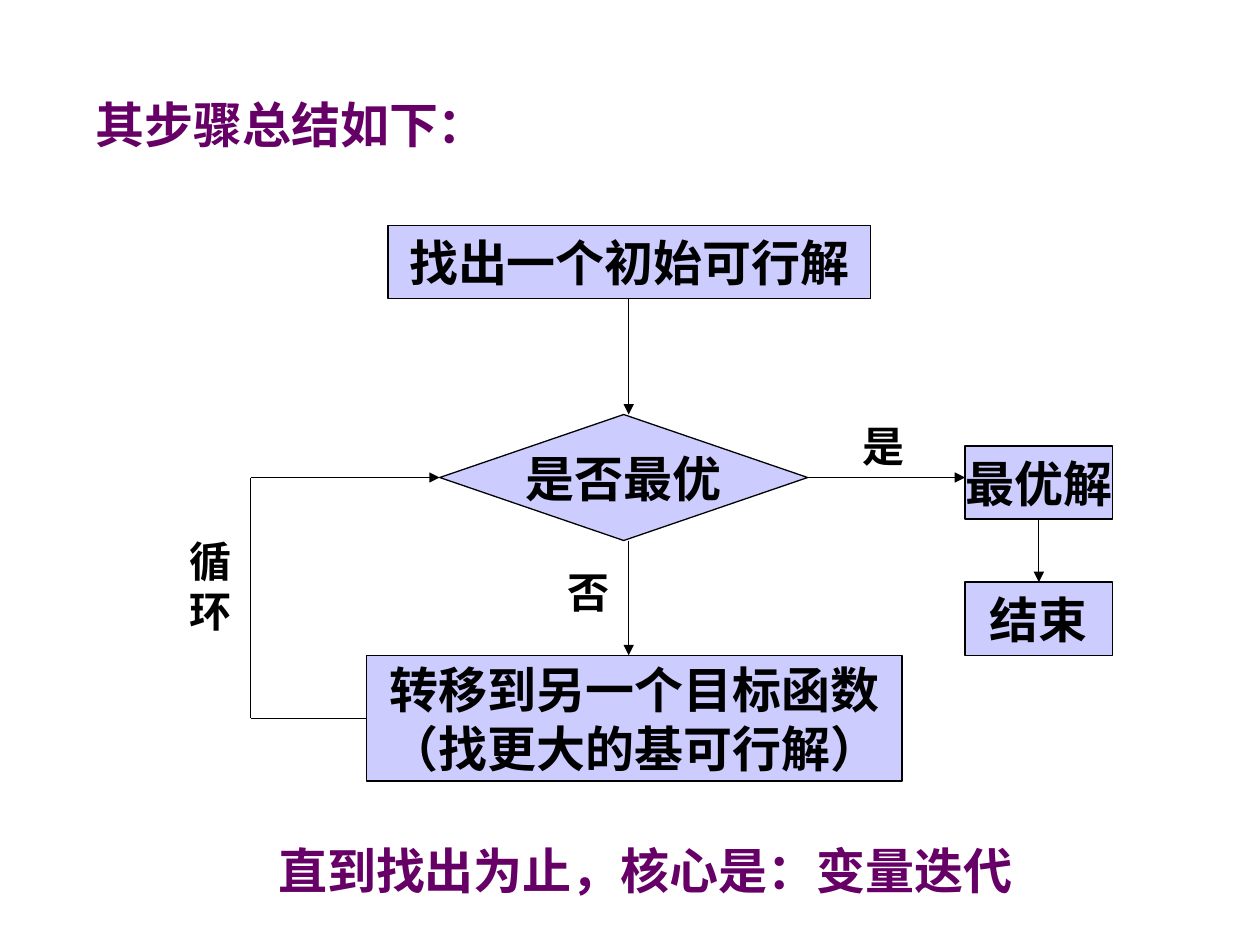
from lxml import etree
from pptx import Presentation
from pptx.dml.color import RGBColor
from pptx.enum.shapes import MSO_CONNECTOR, MSO_SHAPE
from pptx.enum.text import MSO_ANCHOR, MSO_AUTO_SIZE, PP_ALIGN
from pptx.oxml.ns import qn
from pptx.util import Inches, Pt

RECT = MSO_SHAPE.RECTANGLE
DIAMOND = MSO_SHAPE.DIAMOND
STRAIGHT = MSO_CONNECTOR.STRAIGHT
MIDDLE, TOP = MSO_ANCHOR.MIDDLE, MSO_ANCHOR.TOP
CENTER, LEFT = PP_ALIGN.CENTER, PP_ALIGN.LEFT
GROW = MSO_AUTO_SIZE.SHAPE_TO_FIT_TEXT
COLORS = {"fill": "CCCCFF", "ink": "000000", "accent": "660066"}
FONT = "Times New Roman"


def color(name):
    """Return the named colour of the slide."""
    return RGBColor.from_string(COLORS[name])


def write(box, lines, size, ink="ink", align=LEFT, anchor=TOP, wrap=False):
    """Write bold lines into a box, one paragraph each."""
    frame = box.text_frame
    frame.word_wrap = wrap
    frame.vertical_anchor = anchor
    for index, line in enumerate(lines):
        para = frame.paragraphs[0] if index == 0 else frame.add_paragraph()
        para.alignment = align
        span = para.add_run()
        span.text = line
        span.font.name = FONT
        span.font.size = Pt(size)
        span.font.bold = True
        span.font.color.rgb = color(ink)


def add_label(page, left, top, width, height, lines, size=24, ink="ink", wrap=False):
    """Place a free text label, which grows with its text unless it wraps."""
    box = page.shapes.add_textbox(Inches(left), Inches(top), Inches(width), Inches(height))
    write(box, lines, size, ink, wrap=wrap)
    if not wrap:
        box.text_frame.auto_size = GROW


def add_step(page, left, top, width, height, lines, kind=RECT):
    """Place one filled step of the flowchart."""
    step = page.shapes.add_shape(kind, Inches(left), Inches(top), Inches(width), Inches(height))
    step.shadow.inherit = False
    step.fill.solid()
    step.fill.fore_color.rgb = color("fill")
    step.line.color.rgb = color("ink")
    step.line.width = Pt(0.75)
    write(step, lines, 28, align=CENTER, anchor=MIDDLE)


def add_link(page, start, end, arrow=True):
    """Draw a straight link between two points."""
    points = [Inches(value) for value in (*start, *end)]
    link = page.shapes.add_connector(STRAIGHT, *points)
    link.line.color.rgb = color("ink")
    link.line.width = Pt(0.75)
    if arrow:
        etree.SubElement(link.line._get_or_add_ln(), qn("a:tailEnd"), type="triangle")
    etree.SubElement(link._element.spPr, qn("a:effectLst"))


def add_main_column(page, left, top):
    """Build the start, decision and transfer steps with their links."""
    axis = left + 2.08
    add_step(page, left + 0.17, top, 3.83, 0.58, ["找出一个初始可行解"])
    add_step(page, left + 0.58, top + 1.5, 2.92, 1, ["是否最优"], DIAMOND)
    add_step(page, left, top + 3.41, 4.25, 1, ["转移到另一个目标函数", "（找更大的基可行解）"])
    add_link(page, (axis, top + 0.58), (axis, top + 1.5))
    add_link(page, (axis, top + 2.5), (axis, top + 3.41))
    add_label(page, left + 1.5, top + 2.66, 0.53, 0.5, ["否"])


def add_loop(page, left, top):
    """Build the return path from the transfer step to the decision."""
    bend, bottom = left + 0.58, top + 1.91
    add_link(page, (bend, top), (left + 2.08, top))
    add_link(page, (bend, top), (bend, bottom), arrow=False)
    add_link(page, (bend, bottom), (left + 1.5, bottom), arrow=False)
    add_label(page, left, top + 0.41, 0.53, 0.9, ["循", "环"])


def add_exit(page, left, top):
    """Build the branch that ends with the optimal solution."""
    step_left, step_top, width, height, pitch = left + 1.25, top - 0.25, 1.17, 0.58, 1.08
    axis = step_left + width / 2
    for index, line in enumerate(("最优解", "结束")):
        add_step(page, step_left, step_top + index * pitch, width, height, [line])
    add_link(page, (left, top), (step_left, top))
    add_link(page, (axis, step_top + height), (axis, step_top + pitch))
    add_label(page, left + 0.34, top - 0.5, 0.53, 0.5, ["是"])


def main():
    """Build and save the slide."""
    deck = Presentation()
    deck.slide_width, deck.slide_height = Inches(10), Inches(7.5)
    page = deck.slides.add_slide(deck.slide_layouts[6])
    add_label(page, 0.66, 0.7, 4.17, 0.67, ["其步骤总结如下："], 28, "accent", wrap=True)
    add_main_column(page, 2.91, 1.79)
    add_loop(page, 1.41, 3.79)
    add_exit(page, 6.41, 3.79)
    add_label(page, 2.11, 6.62, 6.06, 0.57, ["直到找出为止，核心是：变量迭代"], 28, "accent")
    deck.save("out.pptx")


if __name__ == "__main__":
    main()
